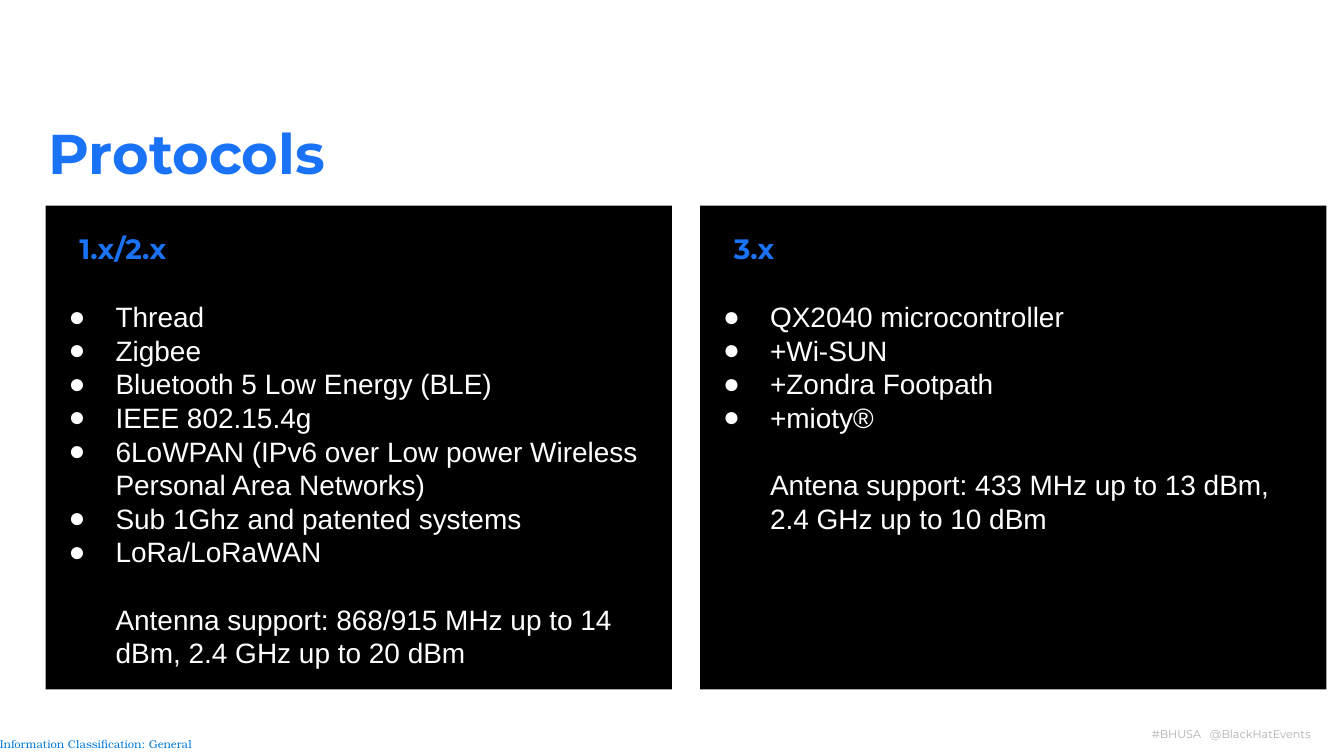
from lxml import etree
from pptx import Presentation
from pptx.dml.color import RGBColor
from pptx.enum.shapes import MSO_SHAPE
from pptx.enum.text import MSO_ANCHOR, MSO_AUTO_SIZE, PP_ALIGN
from pptx.oxml.ns import qn
from pptx.util import Inches, Pt

RECT = MSO_SHAPE.RECTANGLE
TOP, MIDDLE = MSO_ANCHOR.TOP, MSO_ANCHOR.MIDDLE
NO_FIT = MSO_AUTO_SIZE.NONE
LEFT, RIGHT = PP_ALIGN.LEFT, PP_ALIGN.RIGHT

BLUE, WHITE, BLACK = "1A72F7", "FFFFFF", "000000"
HEAD, BODY, SERIF = "Montserrat", "Arial", "TeX Gyre Bonum"
EDGE, STEP = 0.34, 4.87

PANELS = [
    ("1.x/2.x",
     ["Thread", "Zigbee", "Bluetooth 5 Low Energy (BLE)", "IEEE 802.15.4g",
      "6LoWPAN (IPv6 over Low power Wireless Personal Area Networks)",
      "Sub 1Ghz and patented systems", "LoRa/LoRaWAN"],
     "Antenna support: 868/915 MHz up to 14 dBm, 2.4 GHz up to 20 dBm"),
    ("3.x",
     ["QX2040 microcontroller", "+Wi-SUN", "+Zondra Footpath", "+mioty®"],
     "Antena support: 433 MHz up to 13 dBm, 2.4 GHz up to 10 dBm"),
]


def paint(color, tone):
    """Set a colour format from a hex string."""
    color.rgb = RGBColor.from_string(tone)


def place(shape, left, top, width, height):
    """Move and size a shape in inches."""
    shape.left, shape.top = Inches(left), Inches(top)
    shape.width, shape.height = Inches(width), Inches(height)


def set_frame(shape, anchor=MIDDLE, pad=(0.02, 0.02)):
    """Set wrapping, anchor and insets, and return the text frame."""
    frame = shape.text_frame
    frame.word_wrap = True
    frame.auto_size = NO_FIT
    frame.vertical_anchor = anchor
    frame.margin_left = frame.margin_right = Inches(pad[0])
    frame.margin_top = frame.margin_bottom = Inches(pad[1])
    return frame


def add_box(slide, box, anchor=MIDDLE, pad=(0.02, 0.02)):
    """Add a text box and return its frame."""
    return set_frame(slide.shapes.add_textbox(*map(Inches, box)), anchor, pad)


def add_run(para, text, size, face, tone, bold=False):
    """Add one styled run to a paragraph."""
    run = para.add_run()
    run.text = text
    run.font.size = Pt(size)
    run.font.name = face
    run.font.bold = bold
    paint(run.font.color, tone)


def indent(para, bullet):
    """Indent a paragraph and hang a white bullet if asked."""
    props = para._p.get_or_add_pPr()
    props.set("marL", str(Inches(0.5)))
    props.set("indent", str(Inches(-0.35 if bullet else 0)))
    if bullet:
        tint = etree.SubElement(props, qn("a:buClr"))
        etree.SubElement(tint, qn("a:srgbClr"), val=WHITE)
        etree.SubElement(props, qn("a:buSzPts"), val="1500")
        etree.SubElement(props, qn("a:buFont"), typeface=BODY)
        etree.SubElement(props, qn("a:buChar"), char="●")
    para.font.size = Pt(15)


def add_list(slide, left, items, note):
    """Add the bulleted items with a plain note below."""
    frame = add_box(slide, (left, 2.21, 4.44, 2.58), TOP)
    for rank, item in enumerate(items):
        para = frame.add_paragraph() if rank else frame.paragraphs[0]
        indent(para, True)
        add_run(para, item, 15, BODY, WHITE)
    para = frame.add_paragraph()
    indent(para, False)
    para.space_before = Pt(18)
    add_run(para, note, 15, BODY, WHITE)


def add_panel(slide, left, label, items, note):
    """Add a black panel with its label and list."""
    panel = slide.shapes.add_shape(RECT, *map(Inches, (left, 1.53, 4.66, 3.6)))
    panel.shadow.inherit = False
    panel.fill.solid()
    paint(panel.fill.fore_color, BLACK)
    panel.line.fill.background()
    para = add_box(slide, (left + 0.23, 1.73, 0.99, 0.27)).paragraphs[0]
    para.line_spacing = 0.9
    add_run(para, label, 15, HEAD, BLUE, True)
    add_list(slide, left, items, note)


def add_title(slide, text):
    """Fill and format the title placeholder."""
    title = slide.shapes.title
    place(title, EDGE, 0.86, 4.8, 0.55)
    para = set_frame(title).paragraphs[0]
    para.alignment = LEFT
    add_run(para, text, 30, HEAD, BLUE, True)


def add_foot(slide):
    """Add the event tags and the classification line."""
    para = add_box(slide, (8.33, 5.38, 1.48, 0.17), TOP, (0.06, 0.03)).paragraphs[0]
    para.alignment = RIGHT
    add_run(para, "#BHUSA   @BlackHatEvents", 6, HEAD, "B1AFB1")
    frame = add_box(slide, (0, 5.46, 1.46, 0.16), MIDDLE, (0, 0))
    frame.word_wrap = False
    add_run(frame.paragraphs[0], "Information Classification: General", 6, SERIF, "0078D7")


def main():
    """Build the slide and save it."""
    deck = Presentation()
    deck.slide_width = Inches(10)
    deck.slide_height = deck.slide_width * 9 // 16
    slide = deck.slides.add_slide(deck.slide_layouts[5])
    add_foot(slide)
    for rank, panel in enumerate(PANELS):
        add_panel(slide, EDGE + rank * STEP, *panel)
    add_title(slide, "Protocols")
    deck.save("out.pptx")


if __name__ == "__main__":
    main()
